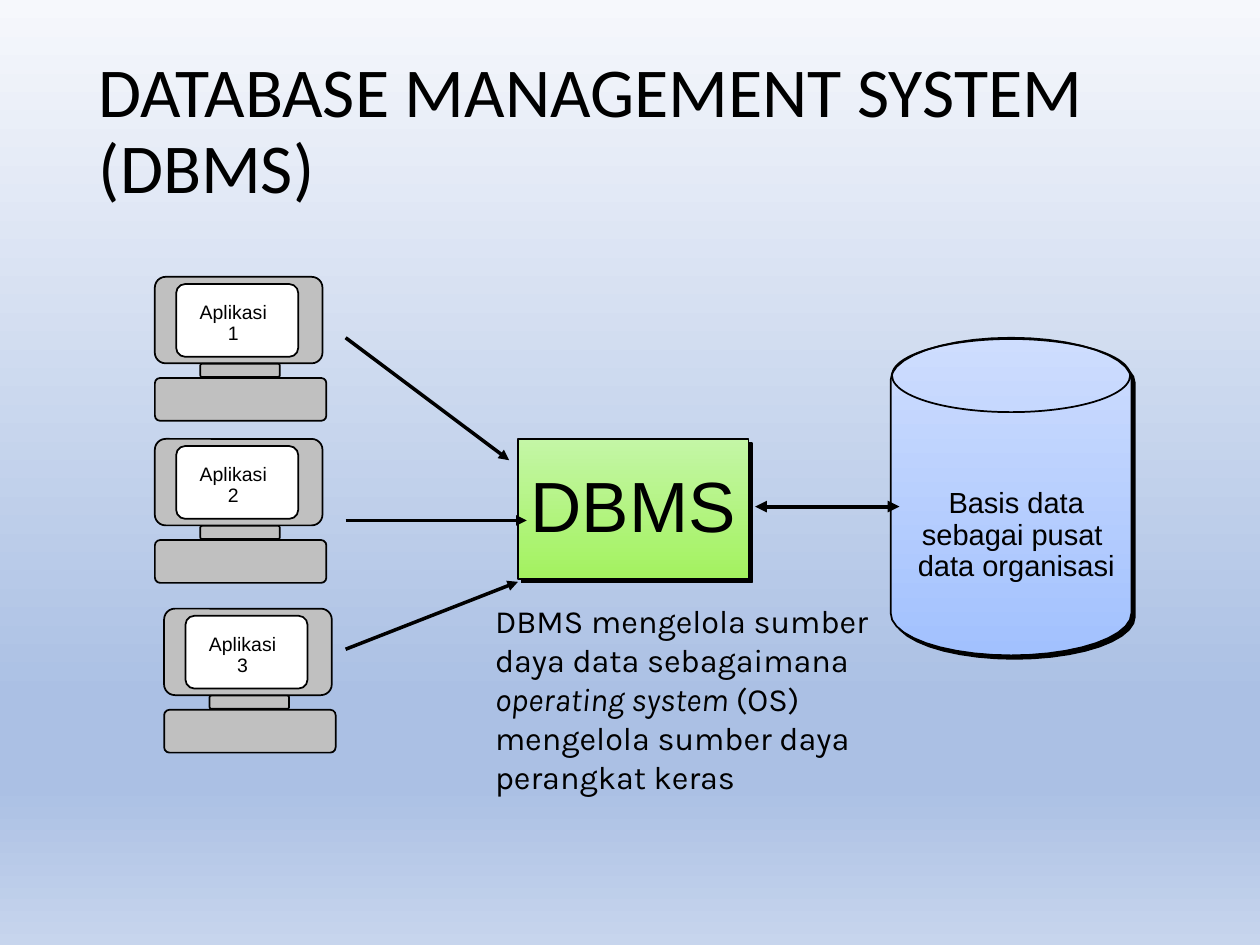
import math

from lxml import etree
from pptx import Presentation
from pptx.dml.color import RGBColor
from pptx.enum import shapes, text
from pptx.oxml.ns import qn
from pptx.util import Pt

BLACK = RGBColor(0x00, 0x00, 0x00)
WHITE = RGBColor(0xFF, 0xFF, 0xFF)
GREY = RGBColor(0xC0, 0xC0, 0xC0)
SKY = [(0, RGBColor(0xF6, 0xF8, 0xFC)), (74, RGBColor(0xAB, 0xC0, 0xE4)),
       (83, RGBColor(0xAB, 0xC0, 0xE4)), (100, RGBColor(0xC7, 0xD5, 0xED))]
GREEN = [(0, RGBColor(0xC4, 0xF6, 0xA6)), (100, RGBColor(0xA3, 0xF2, 0x5F))]
BLUE = [(0, RGBColor(0xCE, 0xDD, 0xFE)), (100, RGBColor(0xA2, 0xC1, 0xFE))]
INSETS = (6.5, 3.6)


def paint_gradient(fill, owner, stops):
    """Fill from top to bottom through (percent, colour) stops."""
    fill.gradient()
    fill.gradient_angle = 270
    stop_list = owner.find(".//" + qn("a:gsLst"))
    for old in list(stop_list):
        stop_list.remove(old)
    for percent, colour in stops:
        stop = etree.SubElement(stop_list, qn("a:gs"), pos=str(percent * 1000))
        etree.SubElement(stop, qn("a:srgbClr"), val=str(colour))


def outline(shape, colour=None):
    """Give a shape a thin black line and a plain fill or none."""
    shape.shadow.inherit = False
    shape.line.color.rgb = BLACK
    shape.line.width = Pt(1)
    if colour is None:
        shape.fill.background()
    else:
        shape.fill.solid()
        shape.fill.fore_color.rgb = colour


def raise_block(shape, stops):
    """Give a shape a gradient and a hard shadow."""
    outline(shape)
    paint_gradient(shape.fill, shape._element, stops)
    effects = shape._element.spPr.find(qn("a:effectLst"))
    shadow = etree.SubElement(effects, qn("a:outerShdw"), blurRad="0",
                              dist=str(Pt(2.8)), dir="2700000", algn="ctr", rotWithShape="0")
    etree.SubElement(shadow, qn("a:srgbClr"), val=str(BLACK))


def add_preset(slide, kind, left, top, width, height):
    """Add a preset shape measured in points."""
    return slide.shapes.add_shape(kind, Pt(left), Pt(top), Pt(width), Pt(height))


def write_centred(frame, lines, size):
    """Write unwrapped centred Arial lines."""
    frame.word_wrap = False
    frame.margin_left = frame.margin_right = Pt(INSETS[0])
    frame.margin_top = frame.margin_bottom = Pt(INSETS[1])
    for index, line in enumerate(lines):
        paragraph = frame.add_paragraph() if index else frame.paragraphs[0]
        paragraph.text = line
        paragraph.alignment = text.PP_ALIGN.CENTER
        paragraph.line_spacing = 0.9
        style_font(paragraph, "Arial", size)


def style_font(paragraph, name, size):
    """Set the black font of a paragraph."""
    paragraph.font.name = name
    paragraph.font.size = Pt(size)
    paragraph.font.color.rgb = BLACK


def add_label(slide, left, top, width, height, lines, size):
    """Add a centred label in its own text box."""
    label = slide.shapes.add_textbox(Pt(left), Pt(top), Pt(width), Pt(height))
    write_centred(label.text_frame, lines, size)


def add_title(slide, left, top, width, height):
    """Add the slide heading."""
    title = slide.shapes.add_textbox(Pt(left), Pt(top), Pt(width), Pt(height))
    title.text_frame.word_wrap = True
    heading = title.text_frame.paragraphs[0]
    heading.text = "DATABASE MANAGEMENT SYSTEM (DBMS)"
    heading.line_spacing = 0.9
    style_font(heading, "Calibri", 40)


def add_note(slide, left, top, width, height):
    """Add the explanation below the DBMS block."""
    note = slide.shapes.add_textbox(Pt(left), Pt(top), Pt(width), Pt(height))
    note.text_frame.word_wrap = True
    sentence = note.text_frame.paragraphs[0]
    style_font(sentence, "Karla", 18.5)
    for words, italic in [("DBMS mengelola sumber daya data sebagaimana ", False),
                          ("operating system", True),
                          (" (OS) mengelola sumber daya perangkat keras", False)]:
        run = sentence.add_run()
        run.text = words
        run.font.italic = italic


def add_dbms(slide, left, top, width, height):
    """Add the central DBMS block."""
    block = add_preset(slide, shapes.MSO_SHAPE.RECTANGLE, left, top, width, height)
    raise_block(block, GREEN)
    block.text_frame.vertical_anchor = text.MSO_ANCHOR.MIDDLE
    write_centred(block.text_frame, ["DBMS"], 40.6)


def add_database(slide, left, top, width, height):
    """Add the database drum with its lid and label."""
    radius, rise, steps = width / 2, 24, 20
    points = []
    for centre, start in [(top + rise, math.pi), (top + height - rise, 0)]:
        for step in range(steps + 1):
            angle = start + math.pi * step / steps
            points.append((Pt(left + radius + radius * math.cos(angle)),
                           Pt(centre + rise * math.sin(angle))))
    builder = slide.shapes.build_freeform(*points[0])
    builder.add_line_segments(points[1:], close=True)
    raise_block(builder.convert_to_shape(), BLUE)
    lid = add_preset(slide, shapes.MSO_SHAPE.OVAL, left + 0.7, top + 0.7, width - 1.4, 41.8)
    outline(lid)
    add_label(slide, left + 8, top + 82.8, 127.4, 61.2,
              ["Basis data", "sebagai pusat ", "data organisasi"], 16.6)


def add_computer(slide, left, top, number):
    """Add a desktop computer that runs one application."""
    for x, y, width, height, colour in [(0, 57.8, 98, 24.5, GREY), (0, 0, 95.8, 49.4, GREY),
                                        (26, 49.7, 45.4, 7.5, GREY), (12.2, 4.1, 69.8, 41.6, WHITE)]:
        part = add_preset(slide, shapes.MSO_SHAPE.ROUNDED_RECTANGLE,
                          left + x, top + y, width, height)
        part.adjustments[0] = 0.125
        outline(part, colour)
    add_label(slide, left + 18.9, top + 11.5, 51.8, 31, ["Aplikasi", str(number)], 11.1)


def add_arrow(slide, start, end, weight=2, both_ends=False):
    """Add a black arrow between two points."""
    arrow = slide.shapes.add_connector(shapes.MSO_CONNECTOR.STRAIGHT,
                                       *map(Pt, start), *map(Pt, end))
    arrow.line.color.rgb = BLACK
    arrow.line.width = Pt(weight)
    line = arrow.line._get_or_add_ln()
    for tag in ["a:headEnd", "a:tailEnd"] if both_ends else ["a:tailEnd"]:
        etree.SubElement(line, qn(tag), type="triangle")
    etree.SubElement(arrow._element.spPr, qn("a:effectLst"))


def main():
    """Build the DBMS slide."""
    deck = Presentation()
    deck.slide_width, deck.slide_height = Pt(720), Pt(540)
    slide = deck.slides.add_slide(deck.slide_layouts[6])
    paint_gradient(slide.background.fill, slide._element, SKY)
    add_note(slide, 275.8, 340, 228.2, 118.8)
    add_dbms(slide, 296, 251, 131.8, 80)
    add_database(slide, 509, 193, 137.5, 181.5)
    add_arrow(slide, (431.5, 289.5), (514, 289.5), 2.25, both_ends=True)
    for start_y, end in [(193, (291, 263)), (297.4, (301, 297.4)), (371, (296, 332.5))]:
        add_arrow(slide, (197.5, start_y), end)
    for number, corner in enumerate([(88.5, 158.2), (88.5, 250.8), (93.8, 347.8)], 1):
        add_computer(slide, *corner, number)
    add_title(slide, 49.5, 29, 631.5, 104.4)
    deck.save("out.pptx")


if __name__ == "__main__":
    main()
